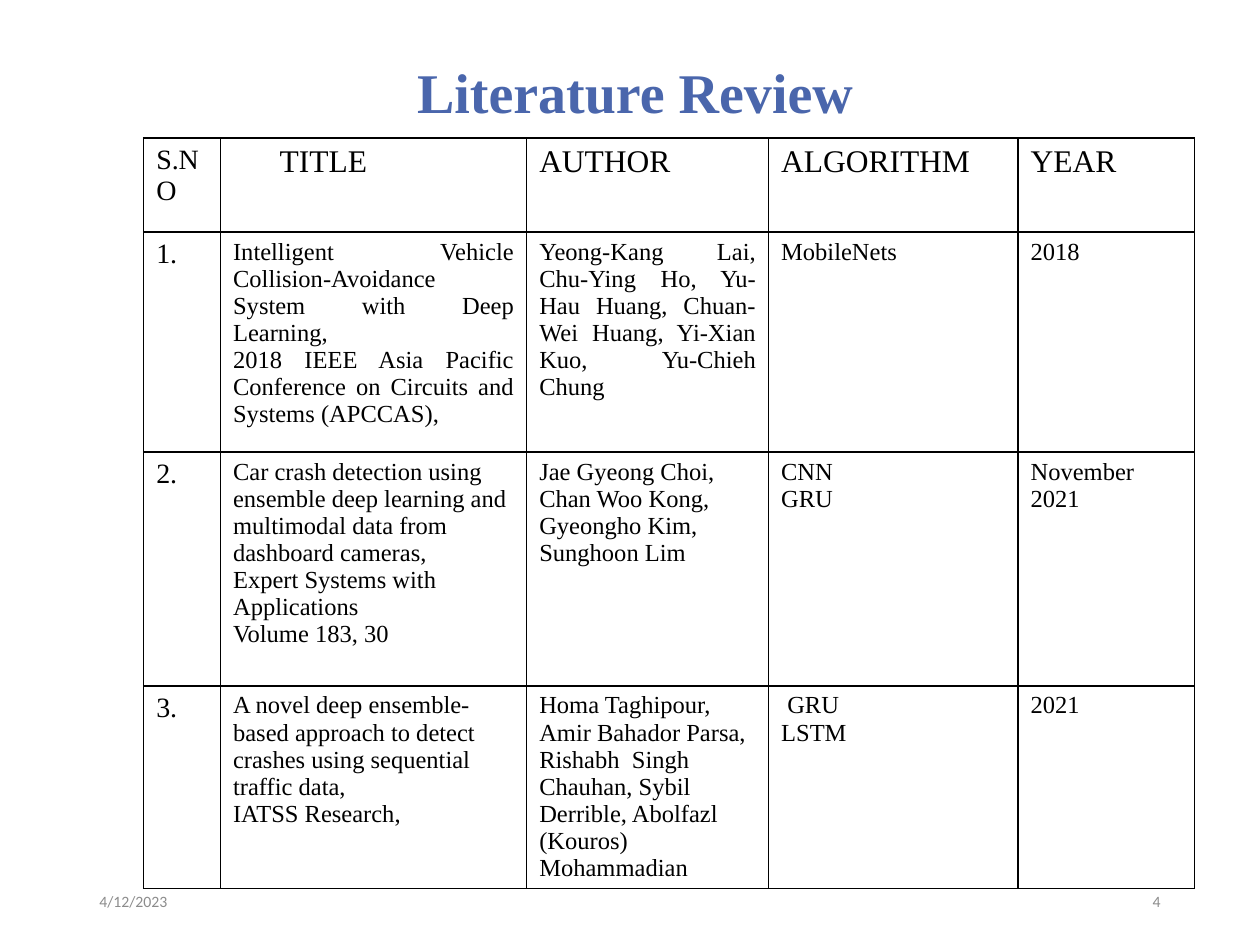
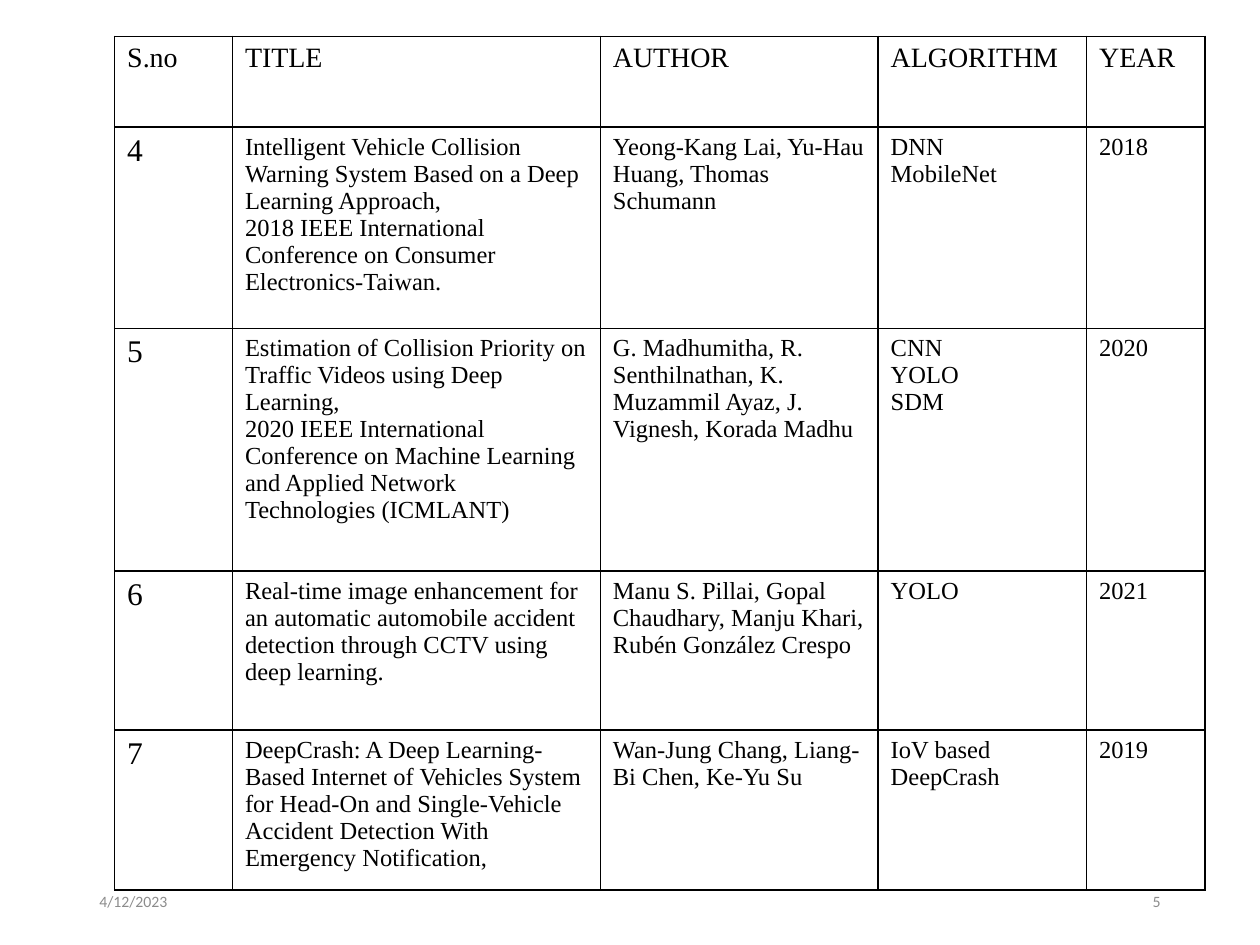
from collections import namedtuple

from lxml.etree import SubElement
from pptx import Presentation
from pptx.dml.color import RGBColor
from pptx.enum.text import MSO_ANCHOR, PP_ALIGN
from pptx.oxml.ns import qn
from pptx.util import Inches, Pt

SLIDE_W, SLIDE_H = Inches(10), Inches(7.5)
BLACK = RGBColor(0x00, 0x00, 0x00)
WHITE = RGBColor(0xFF, 0xFF, 0xFF)
TITLE_BLUE = RGBColor(0x4A, 0x66, 0xAC)
FOOTER_GREY = RGBColor(0x8C, 0x8C, 0x8C)
SERIF, SANS = "Times New Roman", "Calibri"
TITLE_ONLY, BLANK = 5, 6
BORDER = Pt(1)
ENTRY_SIZE = 14

# Boxes are in percent of the slide's width and height
Box = namedtuple("Box", "left top width height")
TITLE_BOX = Box(18.3, 5.6, 69.2, 8.93)
DATE_BOX = Box(6.9, 92.67, 22.5, 5.33)
NUMBER_BOX = Box(70.6, 92.67, 22.5, 5.33)

FIRST_PAPERS = [
    ("S.NO", "TITLE", "AUTHOR", "ALGORITHM", "YEAR"),
    ("1.",
     "Intelligent Vehicle Collision-Avoidance System with Deep Learning,\n"
     "2018 IEEE Asia Pacific Conference on Circuits and Systems (APCCAS), ",
     "Yeong-Kang Lai, Chu-Ying Ho, Yu-Hau Huang, Chuan-Wei Huang, "
     "Yi-Xian Kuo, Yu-Chieh Chung",
     "MobileNets", "2018"),
    ("2.",
     "Car crash detection using ensemble deep learning and multimodal data "
     "from dashboard cameras,\nExpert Systems with Applications\nVolume 183, 30",
     "Jae Gyeong Choi, Chan Woo Kong, Gyeongho Kim, Sunghoon Lim",
     "CNN\nGRU", "November 2021"),
    ("3.",
     "A novel deep ensemble-based approach to detect crashes using sequential "
     "traffic data,\nIATSS Research,",
     "Homa Taghipour, Amir Bahador Parsa, Rishabh  Singh Chauhan, "
     "Sybil Derrible, Abolfazl (Kouros) Mohammadian",
     " GRU\nLSTM", "2021"),
]
MORE_PAPERS = [
    ("S.no", "TITLE", "AUTHOR", "ALGORITHM", "YEAR"),
    ("4",
     "Intelligent Vehicle Collision Warning System Based on a Deep Learning "
     "Approach,\n2018 IEEE International Conference on Consumer Electronics-Taiwan.",
     "Yeong-Kang Lai, Yu-Hau Huang, Thomas Schumann",
     "DNN\nMobileNet", "2018"),
    ("5",
     "Estimation of Collision Priority on Traffic Videos using Deep Learning,\n"
     "2020 IEEE International Conference on Machine Learning and Applied "
     "Network Technologies (ICMLANT)",
     "G. Madhumitha, R. Senthilnathan, K. Muzammil Ayaz, J. Vignesh, Korada Madhu",
     "CNN\nYOLO\nSDM", "2020"),
    ("6",
     "Real-time image enhancement for an automatic automobile accident "
     "detection through CCTV using deep learning.",
     "Manu S. Pillai, Gopal Chaudhary, Manju Khari, Rubén González Crespo",
     "YOLO", "2021"),
    ("7",
     "DeepCrash: A Deep Learning-Based Internet of Vehicles System for Head-On "
     "and Single-Vehicle Accident Detection With Emergency Notification,",
     "Wan-Jung Chang, Liang-Bi Chen, Ke-Yu Su",
     "IoV based DeepCrash", "2019"),
]


def across(percent):
    return round(SLIDE_W * percent / 100)


def down(percent):
    return round(SLIDE_H * percent / 100)


def frame(box):
    return across(box.left), down(box.top), across(box.width), down(box.height)


def style_text(text_frame, size, font, color, bold=False, align=PP_ALIGN.LEFT):
    for paragraph in text_frame.paragraphs:
        paragraph.alignment = align
        for run in paragraph.runs:
            run.font.size, run.font.name, run.font.bold = Pt(size), font, bold
            run.font.color.rgb = color


def add_title(slide, heading, box):
    title = slide.shapes.title
    title.left, title.top, title.width, title.height = frame(box)
    text_frame = title.text_frame
    text_frame.text = heading
    text_frame.margin_left = across(14.8)
    text_frame.vertical_anchor = MSO_ANCHOR.MIDDLE
    text_frame.paragraphs[0].line_spacing = 0.9
    style_text(text_frame, 32, SERIF, TITLE_BLUE, bold=True)


def add_footer(slide, number):
    for label, box, align in (("4/12/2023", DATE_BOX, PP_ALIGN.LEFT),
                              (str(number), NUMBER_BOX, PP_ALIGN.RIGHT)):
        text_frame = slide.shapes.add_textbox(*frame(box)).text_frame
        text_frame.word_wrap = True
        text_frame.vertical_anchor = MSO_ANCHOR.MIDDLE
        text_frame.text = label
        style_text(text_frame, 9, SANS, FOOTER_GREY, align=align)


def outline_cell(cell):
    """Draw a line on all four sides; the lines must precede the fill."""
    properties = cell._tc.get_or_add_tcPr()
    for position, side in enumerate(("a:lnL", "a:lnR", "a:lnT", "a:lnB")):
        line = SubElement(properties, qn(side), w=str(BORDER))
        fill = SubElement(line, qn("a:solidFill"))
        SubElement(fill, qn("a:srgbClr"), val=str(BLACK))
        properties.insert(position, line)


def add_papers_table(slide, papers, left, top, columns, rows, sizes):
    """Columns and rows are percents of the slide; sizes maps each cell's place to points."""
    box = Box(left, top, sum(columns), sum(rows))
    table = slide.shapes.add_table(len(rows), len(columns), *frame(box)).table
    table.first_row = table.horz_banding = False
    for column, width in zip(table.columns, columns):
        column.width = across(width)
    for row, height in zip(table.rows, rows):
        row.height = down(height)
    for r, paper in enumerate(papers):
        for c, entry in enumerate(paper):
            cell = table.cell(r, c)
            cell.text = entry
            cell.fill.solid()
            cell.fill.fore_color.rgb = WHITE
            outline_cell(cell)
            style_text(cell.text_frame, sizes(r, c), SERIF, BLACK)
    return table


def first_sizes(row, column):
    if column == 0:
        return 16
    return 18 if row == 0 else ENTRY_SIZE


def more_sizes(row, column):
    if row == 0:
        return 16
    return 18 if column == 0 else ENTRY_SIZE


def build_first_review(deck, number):
    slide = deck.slides.add_slide(deck.slide_layouts[TITLE_ONLY])
    add_title(slide, "Literature Review", TITLE_BOX)
    table = add_papers_table(slide, FIRST_PAPERS, 11.4, 14.6,
                             (6.1, 24.3, 19.2, 19.8, 14),
                             (9.95, 23.28, 24.76, 21.46), first_sizes)
    table.cell(0, 1).margin_left = across(4.7)
    for column in (1, 2, 3):
        for paragraph in table.cell(1, column).text_frame.paragraphs:
            paragraph.alignment = PP_ALIGN.JUSTIFY
    add_footer(slide, number)


def build_more_review(deck, number):
    slide = deck.slides.add_slide(deck.slide_layouts[BLANK])
    add_footer(slide, number)
    add_papers_table(slide, MORE_PAPERS, 9.1, 3.84,
                     (9.35, 29.2, 22.05, 16.55, 9.4),
                     (9.6, 21.3, 25.7, 16.83, 15.7), more_sizes)


def main():
    deck = Presentation()
    deck.slide_width, deck.slide_height = SLIDE_W, SLIDE_H
    for number, build in enumerate((build_first_review, build_more_review), start=4):
        build(deck, number)
    deck.save("out.pptx")


if __name__ == "__main__":
    main()
